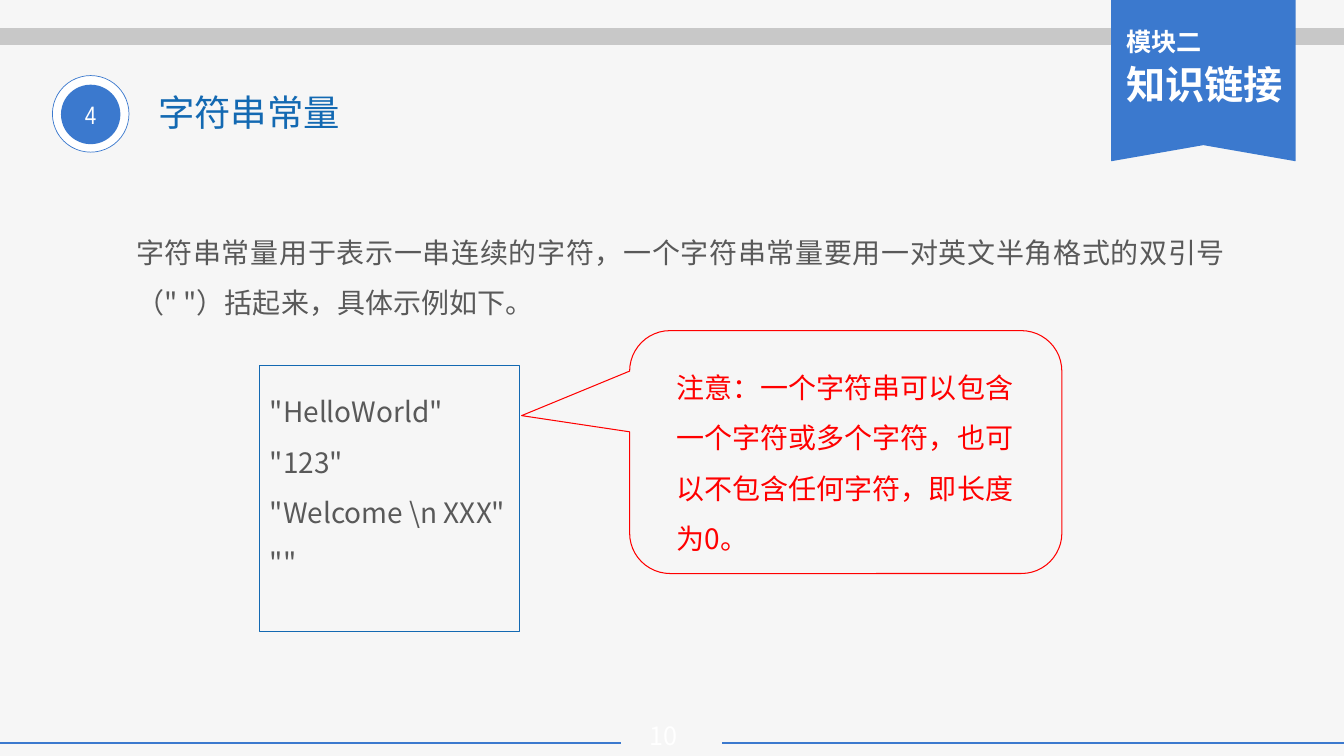
import pptx
import pptx.dml.color
import pptx.enum.shapes
import pptx.enum.text
import pptx.oxml.ns
import pptx.util
import lxml.etree

SHAPES = pptx.enum.shapes.MSO_SHAPE
ALIGN = pptx.enum.text.PP_ALIGN
ANCHOR = pptx.enum.text.MSO_ANCHOR
BLUE, WHITE, RED, GRAY, INK = "3B79CE", "FFFFFF", "FF0000", "595959", "1369B2"
FONT = "Noto Sans CJK SC"


def color(value):
    return pptx.dml.color.RGBColor.from_string(value)


def add_element(parent, tag, **attributes):
    return lxml.etree.SubElement(parent, pptx.oxml.ns.qn(tag), **attributes)


class SlideBuilder:
    """Places elements; lengths are percentages of the slide's width and height."""

    def __init__(self, presentation, layout_index, background):
        self.width = presentation.slide_width
        self.height = presentation.slide_height
        layout = presentation.slide_layouts[layout_index]
        self.slide = presentation.slides.add_slide(layout)
        self.slide.background.fill.solid()
        self.slide.background.fill.fore_color.rgb = color(background)

    def x(self, share):
        return round(self.width * share / 100)

    def y(self, share):
        return round(self.height * share / 100)

    def box(self, left, top, width, height):
        return self.x(left), self.y(top), self.x(width), self.y(height)

    def line(self, start, end, level, line_color, weight):
        connector = self.slide.shapes.add_connector(
            pptx.enum.shapes.MSO_CONNECTOR.STRAIGHT,
            self.x(start), self.y(level), self.x(end), self.y(level))
        connector.line.color.rgb = color(line_color)
        connector.line.width = pptx.util.Pt(weight)
        add_element(connector._element.spPr, "a:effectLst")

    def paint(self, shape, fill=None, line=None, weight=0.75):
        shape.shadow.inherit = False
        if fill:
            shape.fill.solid()
            shape.fill.fore_color.rgb = color(fill)
        else:
            shape.fill.background()
        if line:
            shape.line.color.rgb = color(line)
            shape.line.width = pptx.util.Pt(weight)
        else:
            shape.line.fill.background()
        return shape

    def shape(self, kind, place, **paint):
        return self.paint(self.slide.shapes.add_shape(kind, *self.box(*place)), **paint)

    def outline(self, points, **paint):
        corners = [(self.x(left), self.y(top)) for left, top in points]
        builder = self.slide.shapes.build_freeform(*corners[0])
        builder.add_line_segments(corners[1:], close=True)
        return self.paint(builder.convert_to_shape(), **paint)

    def text_box(self, place):
        return self.slide.shapes.add_textbox(*self.box(*place))

    def placeholder(self, index, place):
        shape = self.slide.placeholders[index]
        shape.left, shape.top, shape.width, shape.height = self.box(*place)
        return shape

    def set_text(self, shape, lines, sizes, text_color, font=FONT, bold=False,
                 anchor=ANCHOR.TOP, margins=None, **paragraph_format):
        frame = shape.text_frame
        frame_format = {"word_wrap": True, "vertical_anchor": anchor,
                        "auto_size": pptx.enum.text.MSO_AUTO_SIZE.NONE}
        for name, value in frame_format.items():
            setattr(frame, name, value)
        for side, inches in (margins or {}).items():
            setattr(frame, "margin_" + side, pptx.util.Inches(inches))
        formats = {"alignment": ALIGN.LEFT, "space_before": pptx.util.Pt(0)}
        formats.update(paragraph_format)
        for number, line in enumerate(lines):
            paragraph = frame.paragraphs[0] if number == 0 else frame.add_paragraph()
            for name, value in formats.items():
                setattr(paragraph, name, value)
            if shape.is_placeholder:
                properties = paragraph._p.get_or_add_pPr()
                properties.set("marL", "0")
                properties.set("indent", "0")
                add_element(properties, "a:buNone")
            run = paragraph.add_run()
            run.text = line
            font_format = {"name": font, "bold": bold,
                           "size": pptx.util.Pt(sizes[number % len(sizes)])}
            for name, value in font_format.items():
                setattr(run.font, name, value)
            run.font.color.rgb = color(text_color)
            add_element(run._r.get_or_add_rPr(), "a:ea", typeface=font)


def main():
    presentation = pptx.Presentation()
    presentation.slide_width = pptx.util.Inches(13.34)
    presentation.slide_height = pptx.util.Inches(7.5)
    page = SlideBuilder(presentation, 1, "F6F6F6")

    # Header and footer rules, page number
    page.line(53.75, 100, 98.27, BLUE, 1.77)
    page.line(0, 46.18, 98.27, BLUE, 1.77)
    page.line(0, 100, 4.8, "C8C8C8", 12)
    page.set_text(page.text_box((46.18, 94.67, 6.45, 5.33)), ["10"], [18], WHITE,
                  anchor=ANCHOR.MIDDLE, alignment=ALIGN.CENTER)

    # Module ribbon
    page.outline([(82.68, 0), (96.4, 0), (96.4, 21.33), (89.54, 19.2), (82.68, 21.33)],
                 fill=BLUE)
    page.set_text(page.text_box((83.06, 2.8, 13.34, 12.27)), ["模块二", "知识链接"],
                  [18, 28], WHITE, bold=True, space_after=pptx.util.Pt(3))

    # Numbered title
    page.shape(SHAPES.OVAL, (3.9, 10, 5.7, 10.13), fill=WHITE, line=BLUE, weight=0.5)
    badge = page.shape(SHAPES.OVAL, (4.54, 11.2, 4.42, 7.87), fill=BLUE)
    page.set_text(badge, ["4"], [18], WHITE, font="Arial Narrow",
                  anchor=ANCHOR.MIDDLE, alignment=ALIGN.CENTER)
    page.set_text(page.placeholder(0, (11.02, 11.2, 28.56, 6.27)), ["字符串常量"], [26], INK)

    # Explanation
    page.set_text(page.placeholder(1, (9.37, 28.27, 82.53, 17.47)),
                  ["字符串常量用于表示一串连续的字符，一个字符串常量要用一对英文半角格式的双引号"
                   "（\" \"）括起来，具体示例如下。"],
                  [20], GRAY, alignment=ALIGN.JUSTIFY, line_spacing=1.5)

    # Examples
    examples = page.shape(SHAPES.RECTANGLE, (19.34, 48.4, 19.34, 35.2), line=INK)
    page.set_text(examples, ['"HelloWorld"', '"123"', '"Welcome \\n XXX"', '""'],
                  [20], GRAY, margins={"top": 0.12}, line_spacing=1.5)

    # Callout
    callout = page.shape(SHAPES.ROUNDED_RECTANGULAR_CALLOUT,
                         (46.85, 43.73, 32.16, 32.13), line=RED)
    callout.adjustments[0] = -0.75
    callout.adjustments[1] = -0.15
    page.set_text(callout,
                  ["注意：一个字符串可以包含一个字符或多个字符，也可以不包含任何字符，即长度为0。"],
                  [20], RED, margins={"left": 0.35, "right": 0.35, "top": 0.11},
                  line_spacing=1.5)

    presentation.save("out.pptx")


if __name__ == "__main__":
    main()
